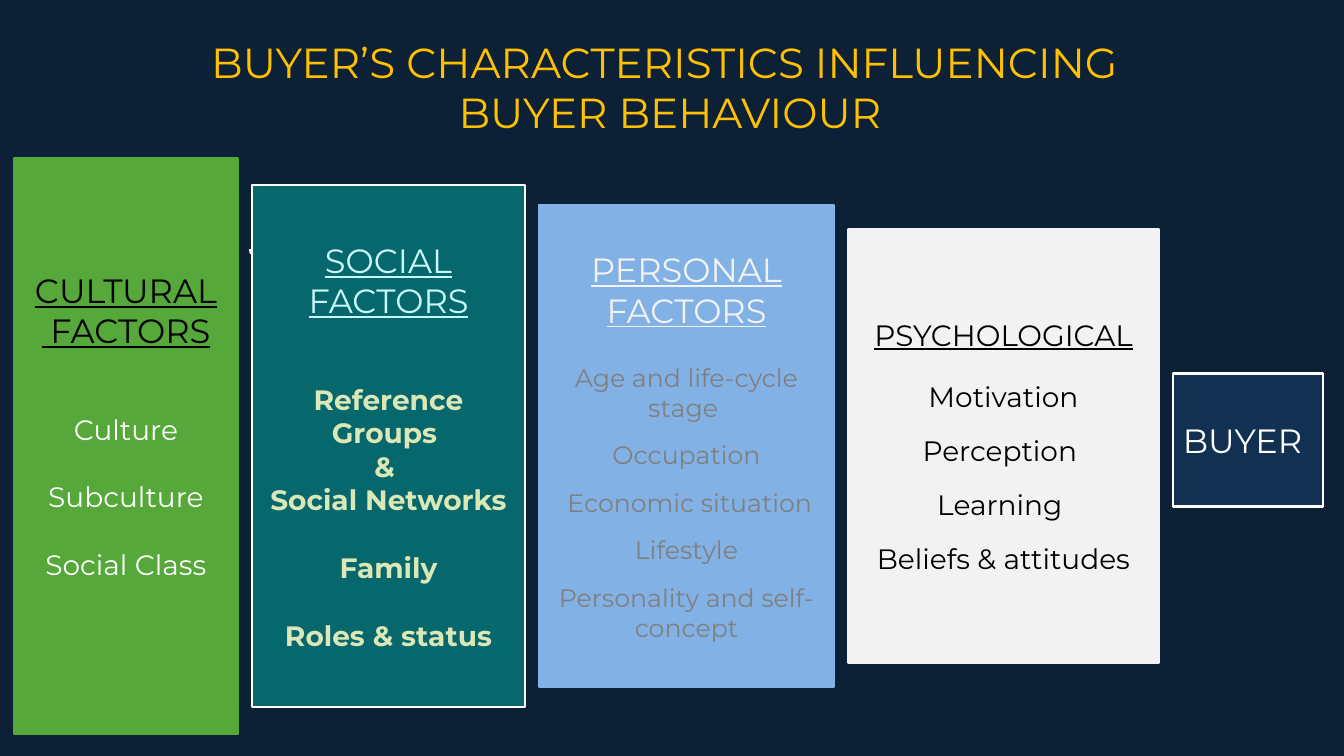
from pptx import Presentation
from pptx.dml.color import RGBColor as RGB
from pptx.enum.shapes import MSO_SHAPE as Kind
from pptx.enum.text import MSO_ANCHOR as Anchor, MSO_AUTO_SIZE as Auto, PP_ALIGN as Align
from pptx.util import Pt

PX = 914400 / 100.8
FONT = "Montserrat"
NAVY, BLUE, GOLD = RGB(12, 32, 54), RGB(17, 48, 82), RGB(255, 192, 0)
WHITE, BLACK, GREY = RGB(255, 255, 255), RGB(0, 0, 0), RGB(128, 128, 128)
GREEN, TEAL, SKY = RGB(85, 168, 57), RGB(6, 104, 108), RGB(130, 177, 229)
PALE, AQUA, LIME = RGB(242, 242, 242), RGB(201, 250, 252), RGB(219, 231, 182)

# Content: heads and items are (text, space before in pt)
TITLE = ["BUYER’S CHARACTERISTICS INFLUENCING ", "BUYER BEHAVIOUR"]
CARDS = [
    dict(width=224, high=575, fill=GREEN, line=GREEN, foot=46,
         heads=["CULTURAL", " FACTORS"], head=(24, BLACK), body=(20, WHITE),
         items=[("Culture", 44), ("Subculture", 24.4), ("Social Class", 24.4)]),
    dict(width=273, high=522, fill=TEAL, line=WHITE, bold=True,
         tail=(0.123, -0.008, 0.132, -0.004),
         heads=["SOCIAL FACTORS"], head=(24, AQUA), body=(20, LIME),
         items=[("Reference Groups ", 44), ("& ", 0), ("Social Networks", 0),
                ("Family", 24.4), ("Roles & status", 24.4)]),
    dict(width=295, high=482, fill=SKY, line=SKY,
         heads=["PERSONAL FACTORS"], head=(24, PALE), body=(18, GREY),
         items=[("Age and life-cycle stage ", 23), ("Occupation", 12.2),
                (" Economic situation", 12.2), (" Lifestyle ", 12.2),
                ("Personality and self-concept", 12.8)]),
    dict(width=311, high=433, fill=PALE, line=PALE,
         heads=["PSYCHOLOGICAL"], head=(21, BLACK), body=(20, BLACK),
         items=[("Motivation", 19.5), ("Perception ", 14.6),
                ("Learning ", 14.6), ("Beliefs & attitudes", 14.6)]),
    dict(width=150, high=133, fill=BLUE, line=WHITE, mid=440, align=Align.LEFT,
         tail=(0.009, 0.036, -0.003, 0.038),
         heads=[], head=(24, WHITE), body=(24, WHITE), items=[("BUYER", 0)]),
]
LEFT, GAP, MID = 14, 14, 446


def px(n):
    return round(n * PX)


def write(frame, rows):
    """Fill a frame with rows of text, size, colour, gap, bold, underline, align."""
    for i, (text, size, color, gap, bold, under, align) in enumerate(rows):
        para = frame.add_paragraph() if i else frame.paragraphs[0]
        para.text = text
        para.alignment = align
        para.space_before = Pt(gap)
        font = para.font
        font.name, font.size, font.bold, font.underline = FONT, Pt(size), bold, under
        font.color.rgb = color


def draw(slide, card, left):
    tail = card.get("tail")
    top = card.get("mid", MID) - card["high"] / 2
    box = slide.shapes.add_shape(
        Kind.LINE_CALLOUT_1 if tail else Kind.RECTANGLE,
        px(left), px(top), px(card["width"]), px(card["high"]))
    for i, value in enumerate(tail or ()):
        box.adjustments[i] = value
    box.shadow.inherit = False
    box.fill.solid()
    box.fill.fore_color.rgb = card["fill"]
    box.line.color.rgb = card["line"]
    box.line.width = Pt(1.5)
    frame = box.text_frame
    frame.word_wrap = True
    frame.vertical_anchor = Anchor.MIDDLE
    frame.margin_bottom = px(card.get("foot", 5))
    align = card.get("align", Align.CENTER)
    heads = [(text, *card["head"], 0, False, True, align) for text in card["heads"]]
    items = [(text, *card["body"], gap, card.get("bold", False), False, align)
             for text, gap in card["items"]]
    write(frame, heads + items)


def main():
    deck = Presentation()
    deck.slide_width, deck.slide_height = px(1344), px(756)
    slide = deck.slides.add_slide(deck.slide_layouts[5])
    slide.background.fill.solid()
    slide.background.fill.fore_color.rgb = NAVY

    # Title
    title = slide.shapes.title
    title.left, title.top, title.width, title.height = map(px, (40, 31, 1260, 112))
    frame = title.text_frame
    frame.word_wrap = True
    frame.auto_size = Auto.NONE
    frame.vertical_anchor = Anchor.TOP
    write(frame, [(text, 30, GOLD, 0, False, False, Align.CENTER) for text in TITLE])

    # Factor cards, left to right
    left = LEFT
    for card in CARDS:
        draw(slide, card, left)
        left += card["width"] + GAP

    deck.save("out.pptx")


if __name__ == "__main__":
    main()
